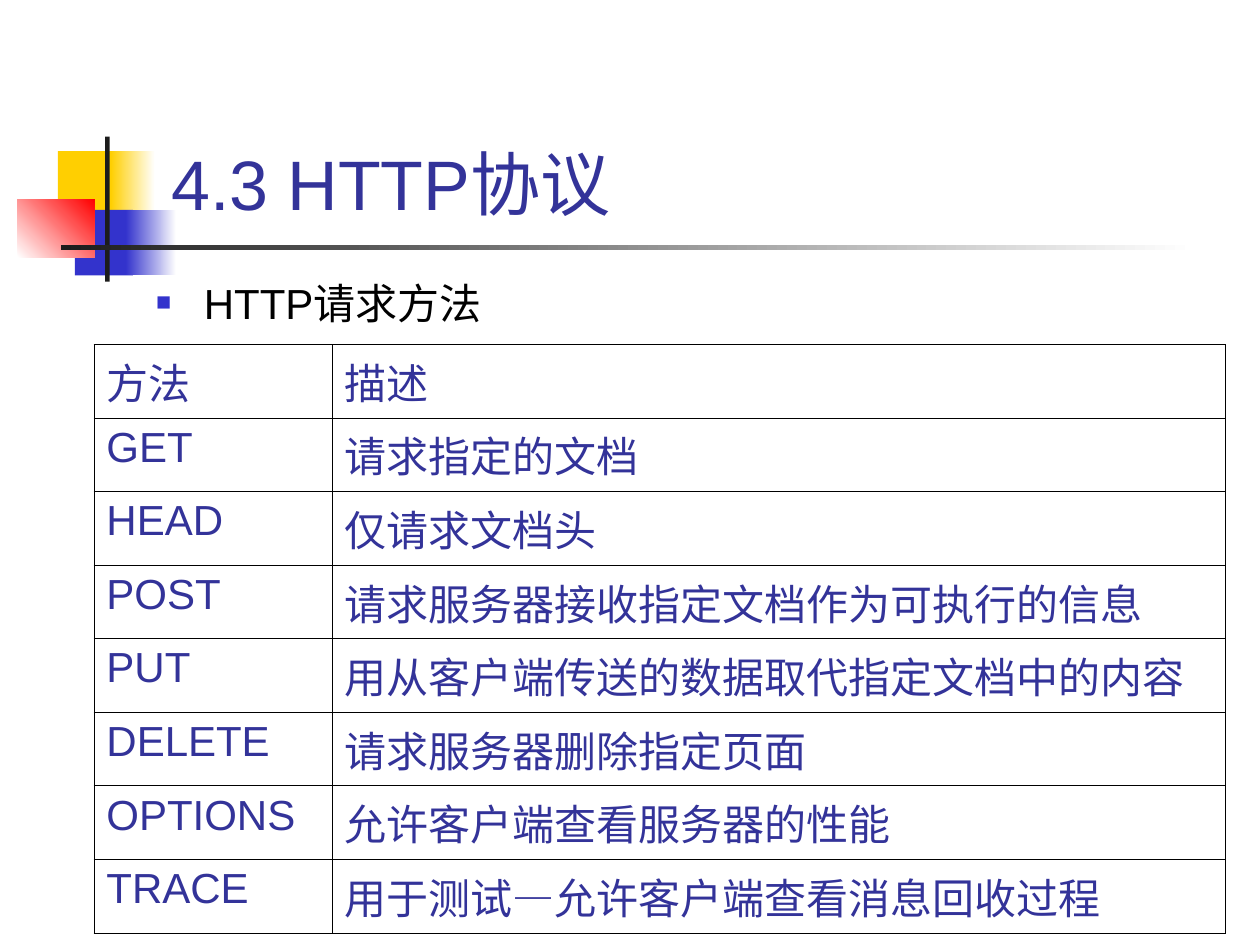
import pptx
import pptx.dml.color
import pptx.enum.shapes
import pptx.enum.text
import pptx.oxml
import pptx.oxml.ns
import pptx.util

RGB = pptx.dml.color.RGBColor
GOLD = RGB(0xFF, 0xCF, 0x01)
BLUE = RGB(0x33, 0x33, 0xCC)
RED = RGB(0xFF, 0x00, 0x00)
DARK = RGB(0x1C, 0x1C, 0x1C)
NAVY = RGB(0x33, 0x33, 0x99)
BLACK = RGB(0x00, 0x00, 0x00)
WHITE = RGB(0xFF, 0xFF, 0xFF)

COLS, ROWS = 100, 75  # grid cells across and down the slide
HANG = pptx.util.Inches(0.38)

METHODS = [
    ("方法", "描述"),
    ("GET", "请求指定的文档"),
    ("HEAD", "仅请求文档头"),
    ("POST", "请求服务器接收指定文档作为可执行的信息"),
    ("PUT", "用从客户端传送的数据取代指定文档中的内容"),
    ("DELETE", "请求服务器删除指定页面"),
    ("OPTIONS", "允许客户端查看服务器的性能"),
    ("TRACE", "用于测试—允许客户端查看消息回收过程"),
]


def make(xml):
    """Parse a fragment whose root takes the DrawingML namespace."""
    head, rest = xml.split(" ", 1)
    return pptx.oxml.parse_xml(f"{head} {pptx.oxml.ns.nsdecls('a')} {rest}")


def write(frame, text, size=24, color=NAVY, hang=False, bullet=None,
          before=None, lead=None, font="Arial"):
    """Fill a text frame with one formatted paragraph."""
    para = frame.paragraphs[0]
    run = para.add_run()
    run.text = text
    run.font.name = font
    run.font.size = pptx.util.Pt(size)
    run.font.color.rgb = color
    props = para._p.get_or_add_pPr()
    if hang:
        props.set("marL", str(HANG))
        props.set("indent", str(-HANG))
    if bullet:
        props.append(make(f'<a:buClr ><a:srgbClr val="{bullet}"/></a:buClr>'))
        props.append(make('<a:buSzPct val="60000"/>'))
        props.append(make(f'<a:buFont typeface="{font}"/>'))
        props.append(make('<a:buChar char="■"/>'))
    if before:
        para.space_before = pptx.util.Pt(before)
    if lead:
        para.line_spacing = lead


class Page:
    """Holds the deck, its slide and the grid; boxes are in grid cells."""

    def __init__(self):
        self.deck = pptx.Presentation()
        self.deck.slide_width = pptx.util.Inches(10)
        self.deck.slide_height = pptx.util.Inches(7.5)
        self.slide = self.deck.slides.add_slide(self.deck.slide_layouts[6])
        self.shapes = self.slide.shapes

    def across(self, cols):
        return round(self.deck.slide_width * cols / COLS)

    def down(self, rows):
        return round(self.deck.slide_height * rows / ROWS)

    def place(self, left, top, width, height):
        return (self.across(left), self.down(top),
                self.across(width), self.down(height))

    def block(self, box, color, fade=None, angle=0):
        """Draw a rectangle, plain or fading from color to fade."""
        kind = pptx.enum.shapes.MSO_SHAPE.RECTANGLE
        shape = self.shapes.add_shape(kind, *self.place(*box))
        shape.shadow.inherit = False
        shape.line.fill.background()
        if fade is None:
            shape.fill.solid()
            shape.fill.fore_color.rgb = color
            return
        shape.fill.gradient()
        shape.fill.gradient_angle = angle
        for stop, tone in zip(shape.fill.gradient_stops, (color, fade)):
            stop.color.rgb = tone

    def label(self, box, text, anchor=pptx.enum.text.MSO_ANCHOR.TOP, **style):
        frame = self.shapes.add_textbox(*self.place(*box)).text_frame
        frame.word_wrap = True
        frame.vertical_anchor = anchor
        write(frame, text, **style)

    def border(self, cell, color=BLACK, width=0.45):
        props = cell._tc.get_or_add_tcPr()
        for spot, side in enumerate("LRTB"):
            line = make(
                f'<a:ln{side} w="{pptx.util.Pt(width)}"><a:solidFill>'
                f'<a:srgbClr val="{color}"/></a:solidFill></a:ln{side}>')
            props.insert(spot, line)

    def table(self, left, top, widths, height, rows):
        box = self.place(left, top, sum(widths), height * len(rows))
        grid = self.shapes.add_table(len(rows), len(widths), *box).table
        grid.first_row = grid.horz_banding = False
        for col, width in zip(grid.columns, widths):
            col.width = self.across(width)
        for line, texts in zip(grid.rows, rows):
            line.height = self.down(height)
            for cell, text in zip(line.cells, texts):
                cell.fill.background()
                self.border(cell)
                write(cell.text_frame, text, hang=True)


def main():
    page = Page()
    page.block((4.6, 12, 4.8, 5.2), GOLD)
    page.block((8.8, 12, 3.5, 5.2), GOLD, fade=WHITE)
    page.block((5.95, 16.65, 4.6, 5.2), BLUE)
    page.block((10, 16.65, 4, 5.2), BLUE, fade=WHITE)
    page.block((1.4, 15.8, 6.1, 4.65), WHITE, fade=RED, angle=45)
    page.block((8.35, 10.85, 0.35, 11.5), DARK)
    page.block((4.85, 19.45, 90, 0.4), DARK, fade=WHITE)

    page.label((12.6, 2.3, 85.2, 16), "4.3 HTTP协议", size=40,
               anchor=pptx.enum.text.MSO_ANCHOR.BOTTOM)
    page.label((11.4, 19.5, 85, 7), "HTTP请求方法", color=BLACK,
               hang=True, bullet=BLUE, before=6, lead=1.5)
    page.table(7.45, 27.33, (18.9, 70.9), 5.84, METHODS)
    page.deck.save("out.pptx")


if __name__ == "__main__":
    main()
